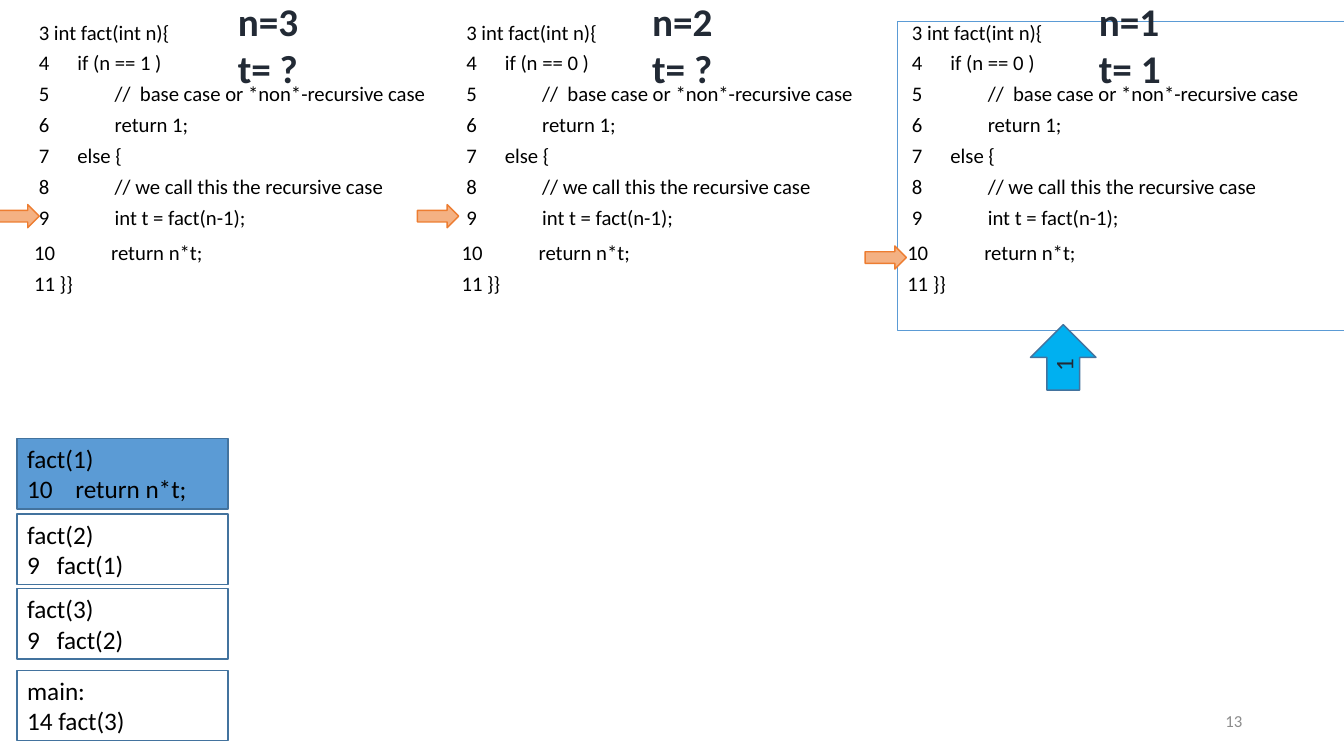
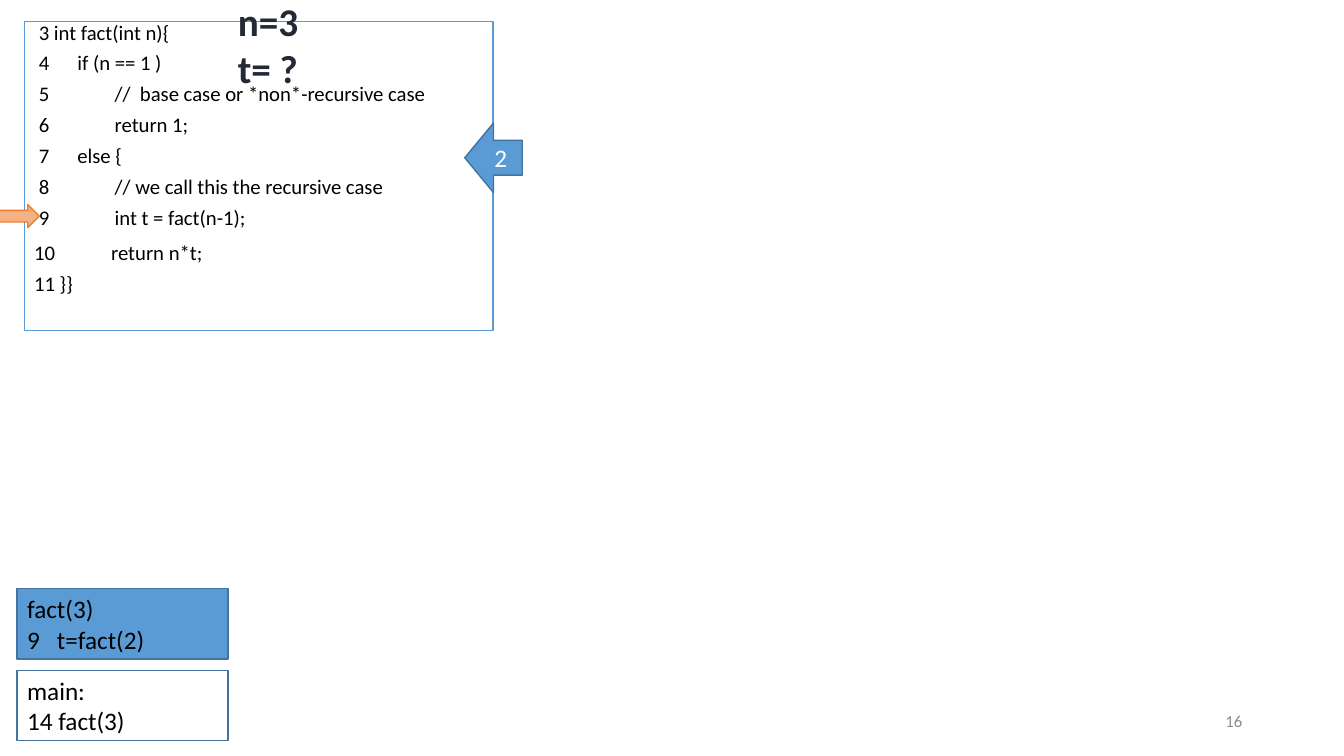
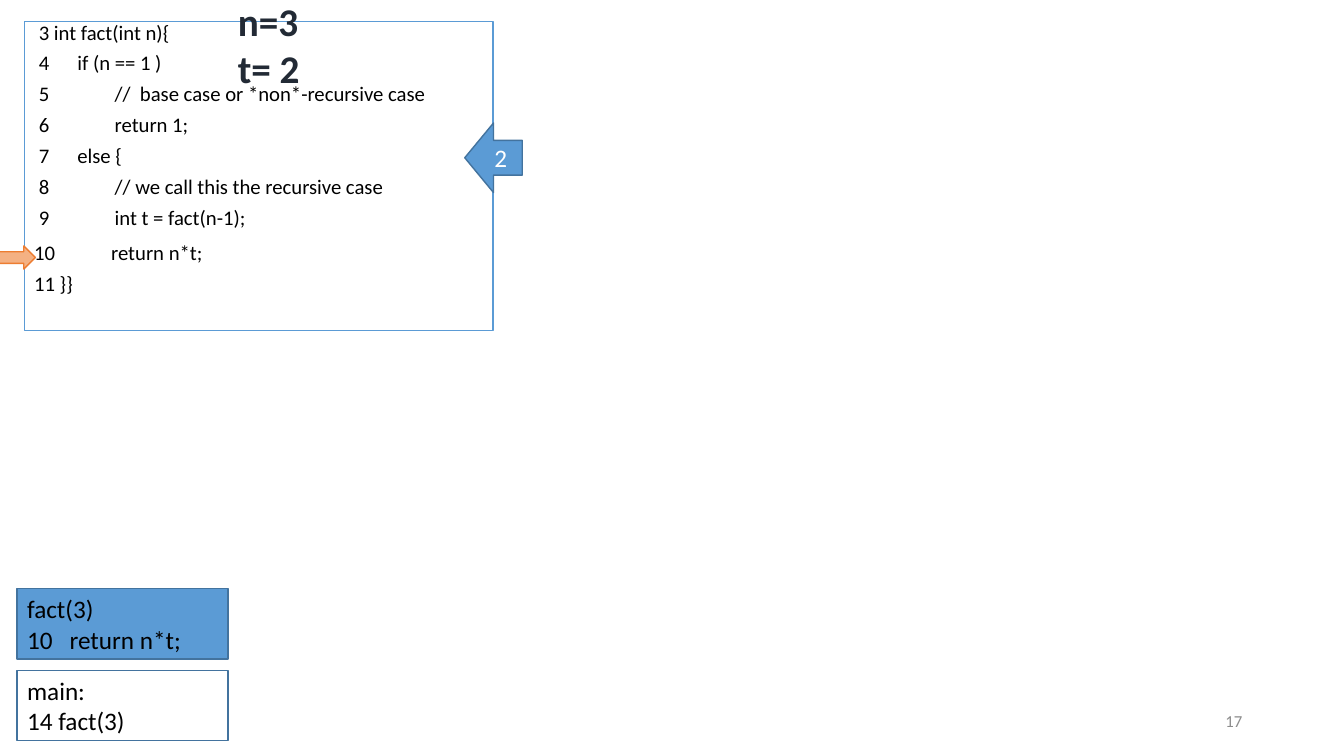
from pptx import Presentation
from pptx.dml.color import RGBColor
from pptx.enum import shapes, text
from pptx.util import Inches, Pt

COLOURS = {
    "ink": "000000",
    "values": "222A35",
    "number": "8C8C8C",
    "white": "FFFFFF",
    "blue": "5B9BD5",
    "edge": "43739E",
    "sky": "00B0F0",
    "peach": "F4B183",
    "orange": "ED7D31",
}
FONT = "Calibri"
SHAPE = shapes.MSO_SHAPE
ANCHOR = text.MSO_ANCHOR
ALIGN = text.PP_ALIGN

CODE = """ 3 int fact(int n){{
 4      if (n == {base} )
 5              //  base case or *non*-recursive case
 6              return 1;
 7      else {{
 8              // we call this the recursive case
 9              int t = fact(n-1);
10            return n*t;
11 }}}}"""
RETURN_LINE = 7
FRAME_TOPS = [6.65, 5.84, 5.1, 4.35]
POINTER_TOPS = {9: 2.03, 10: 2.44}
MAIN_CALL = "main:\n14 fact(3)"


def colour(name):
    return RGBColor.from_string(COLOURS[name])


def write(shape, content, size=18, ink="ink", bold=False, align=ALIGN.LEFT,
          anchor=ANCHOR.TOP, line_spacing=None, gaps=None):
    frame = shape.text_frame
    frame.word_wrap = True
    frame.vertical_anchor = anchor
    frame.text = content
    for index, paragraph in enumerate(frame.paragraphs):
        paragraph.alignment = align
        paragraph.line_spacing = line_spacing
        paragraph.space_before = Pt(gaps[index] if gaps else 0)
        font = paragraph.font
        font.name, font.size, font.bold = FONT, Pt(size), bold
        font.color.rgb = colour(ink)


class Deck:
    def __init__(self):
        self.show = Presentation()
        self.show.slide_width = Inches(13.33)
        self.show.slide_height = Inches(7.5)
        self.slide = None

    def new_slide(self, number):
        self.slide = self.show.slides.add_slide(self.show.slide_layouts[6])
        write(self.box(9.42, 6.95, 3, 0.4), str(number), size=12, ink="number",
              align=ALIGN.RIGHT, anchor=ANCHOR.MIDDLE)

    def box(self, left, top, width, height):
        return self.slide.shapes.add_textbox(
            Inches(left), Inches(top), Inches(width), Inches(height))

    def shape(self, kind, left, top, width, height, fill=None, line="edge"):
        shape = self.slide.shapes.add_shape(
            kind, Inches(left), Inches(top), Inches(width), Inches(height))
        shape.shadow.inherit = False
        if fill:
            shape.fill.solid()
            shape.fill.fore_color.rgb = colour(fill)
        else:
            shape.fill.background()
        shape.line.color.rgb = colour(line)
        shape.line.width = Pt(1)
        return shape

    def code(self, left, base, framed):
        place = (left, 0.21, 4.65, 3.07)
        if framed:
            panel = self.shape(SHAPE.RECTANGLE, *place, line="blue")
            panel.line.width = Pt(0.75)
        else:
            panel = self.box(*place)
        lines = CODE.format(base=base)
        gaps = [0] + [9.7] * lines.count("\n")
        gaps[RETURN_LINE] = 12.4
        write(panel, lines, size=14.8, line_spacing=0.7, gaps=gaps)

    def values(self, left, n, t):
        write(self.box(left, -0.08, 1.08, 1.04), f"n={n}\nt= {t}",
              size=28, ink="values", bold=True)

    def pointer(self, left, line_number):
        self.shape(SHAPE.RIGHT_ARROW, left, POINTER_TOPS[line_number], 0.41, 0.23,
                   fill="peach", line="orange")

    def call_stack(self, *calls):
        for call, top in zip(calls, FRAME_TOPS):
            fill = "blue" if call == calls[-1] else None
            write(self.shape(SHAPE.RECTANGLE, 0.17, top, 2.09, 0.7, fill), call)

    def returned_up(self, value):
        arrow = self.shape(SHAPE.DOWN_ARROW, 10.22, 3.22, 0.65, 0.65, "sky")
        arrow.rotation = 180
        write(arrow, value, ink="values", align=ALIGN.CENTER, anchor=ANCHOR.MIDDLE)
        arrow.text_frame._txBody.bodyPr.set("vert", "vert")

    def returned_left(self, value):
        arrow = self.shape(SHAPE.LEFT_ARROW, 4.61, 1.22, 0.57, 0.69, "blue")
        write(arrow, value, ink="white", align=ALIGN.CENTER, anchor=ANCHOR.MIDDLE)


def deepest_call(deck):
    deck.new_slide(13)
    deck.call_stack(MAIN_CALL, "fact(3)\n9   fact(2)", "fact(2)\n9   fact(1)",
                    "fact(1)\n10    return n*t;")
    calls = [
        (0.24, 1, False, -0.02, 9, 2.26, 3, "?"),
        (4.48, 0, False, 4.14, 9, 6.37, 2, "?"),
        (8.9, 0, True, 8.58, 10, 10.8, 1, "1"),
    ]
    for left, base, active, pointer_left, line_number, values_left, n, t in calls:
        deck.code(left, base, active)
        deck.pointer(pointer_left, line_number)
        deck.values(values_left, n, t)
    deck.returned_up("1")


def first_call(deck, number, step, pointer_left, line_number, t):
    deck.new_slide(number)
    deck.code(0.24, 1, True)
    deck.call_stack(MAIN_CALL, f"fact(3)\n{step}")
    deck.pointer(pointer_left, line_number)
    deck.values(2.26, 3, t)
    deck.returned_left("2")


def main():
    deck = Deck()
    deepest_call(deck)
    first_call(deck, 16, "9   t=fact(2)", -0.02, 9, "?")
    first_call(deck, 17, "10   return n*t;", -0.06, 10, "2")
    deck.show.save("out.pptx")


if __name__ == "__main__":
    main()
